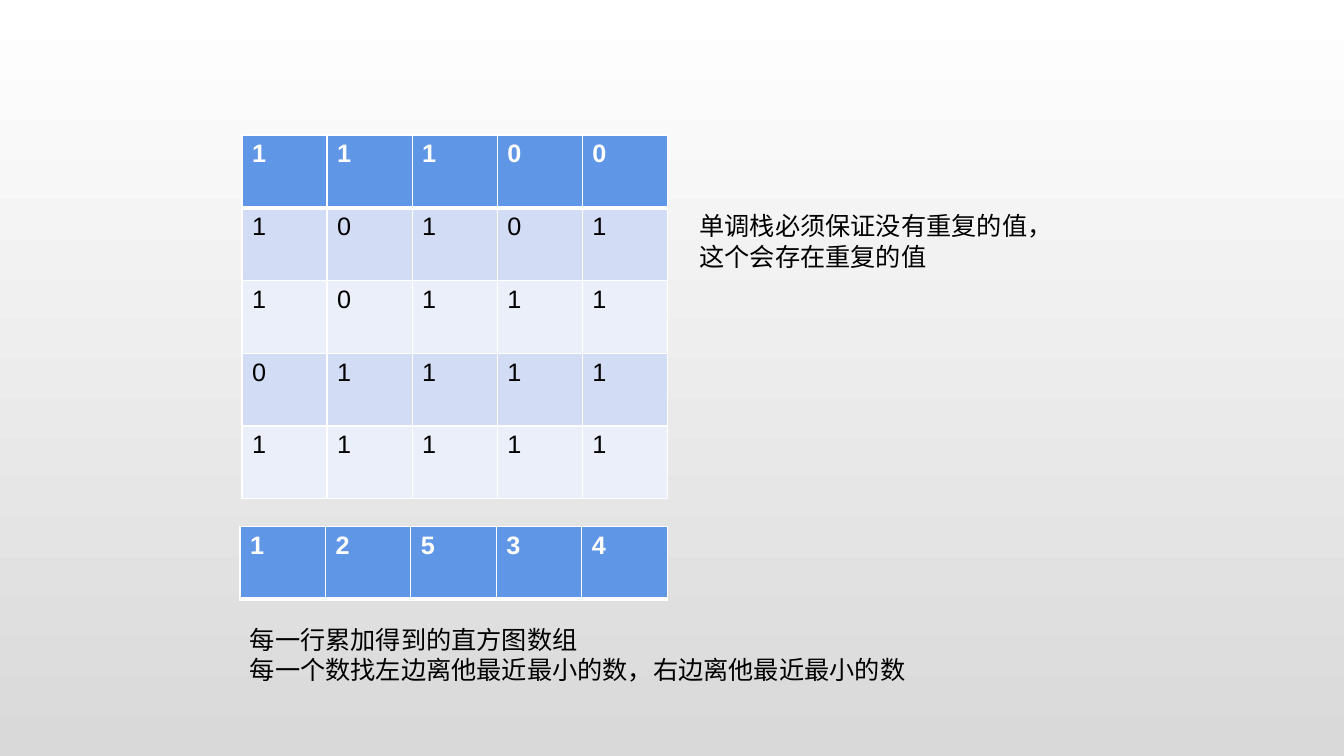
from lxml.etree import SubElement
from pptx import Presentation
from pptx.dml.color import RGBColor
from pptx.enum.text import MSO_AUTO_SIZE
from pptx.oxml.ns import qn
from pptx.util import Inches, Pt

COLORS = {
    "white": "FFFFFF",
    "black": "000000",
    "shade": "D9D9D9",
    "header": "6096E6",
    "band_dark": "D2DDF5",
    "band_light": "EAEFFA",
}
MATRIX = ["11100", "10101", "10111", "01111", "11111"]
HISTOGRAM = ["12534"]
# Each note line is (text, font).
HISTOGRAM_NOTE = [
    ("每一行累加得到的直方图数组", "Calibri"),
    ("每一个数找左边离他最近最小的数，右边离他最近最小的数", "Arial"),
]
STACK_NOTE = [
    ("单调栈必须保证没有重复的值，", "Calibri"),
    ("这个会存在重复的值", "Calibri"),
]
ROW_HEIGHT = 0.722


def rgb(name):
    """Return the named colour."""
    return RGBColor.from_string(COLORS[name])


def write(para, text, font="Arial", color="black", bold=False):
    """Put one formatted run of text into a paragraph."""
    span = para.add_run()
    span.text = text
    span.font.name = font
    span.font.size = Pt(18)
    span.font.bold = bold
    span.font.color.rgb = rgb(color)


def add_borders(cell, bottom):
    """Draw white cell borders, with the bottom one of the given width."""
    properties = cell._tc.get_or_add_tcPr()
    widths = {"lnL": 1, "lnR": 1, "lnT": 1, "lnB": bottom}
    for index, (side, width) in enumerate(widths.items()):
        line = SubElement(properties, qn(f"a:{side}"), w=str(Pt(width)))
        fill = SubElement(line, qn("a:solidFill"))
        SubElement(fill, qn("a:srgbClr"), val=COLORS["white"])
        properties.insert(index, line)


def add_digits(page, rows, left, top, width):
    """Add a table of digits: a header row, then alternating bands."""
    frame = page.shapes.add_table(
        len(rows), len(rows[0]), Inches(left), Inches(top),
        Inches(width), Inches(ROW_HEIGHT * len(rows)))
    table = frame.table
    for column in table.columns:
        column.width = Inches(width / len(rows[0]))
    for r, digits in enumerate(rows):
        table.rows[r].height = Inches(ROW_HEIGHT)
        header = r == 0
        band = "header" if header else ("band_light", "band_dark")[r % 2]
        for c, digit in enumerate(digits):
            cell = table.cell(r, c)
            cell.fill.solid()
            cell.fill.fore_color.rgb = rgb(band)
            add_borders(cell, bottom=3 if header else 1)
            if r == 1:
                top_line = cell._tc.tcPr.find(qn("a:lnT"))
                top_line.set("w", str(Pt(3)))
            write(cell.text_frame.paragraphs[0], digit, bold=header,
                  color="white" if header else "black")


def add_note(page, lines, left, top, width):
    """Add an unwrapped text box with one paragraph per line."""
    box = page.shapes.add_textbox(
        Inches(left), Inches(top), Inches(width), Inches(0.71))
    frame = box.text_frame
    frame.word_wrap = False
    frame.auto_size = MSO_AUTO_SIZE.SHAPE_TO_FIT_TEXT
    for index, (text, font) in enumerate(lines):
        para = frame.add_paragraph() if index else frame.paragraphs[0]
        write(para, text, font=font)


def paint_background(page):
    """Fade the background from white at the top to grey at the bottom."""
    fill = page.background.fill
    fill.gradient()
    fill.gradient_angle = 270
    for stop, color in zip(fill.gradient_stops, ("white", "shade")):
        stop.color.rgb = rgb(color)


deck = Presentation()
deck.slide_width, deck.slide_height = Inches(13.33), Inches(7.5)
page = deck.slides.add_slide(deck.slide_layouts[6])
paint_background(page)
add_digits(page, MATRIX, left=2.4, top=1.34, width=4.22)
add_digits(page, HISTOGRAM, left=2.38, top=5.22, width=4.24)
add_note(page, HISTOGRAM_NOTE, left=2.38, top=6.14, width=6.7)
add_note(page, STACK_NOTE, left=6.84, top=2.04, width=3.7)
deck.save("out.pptx")
